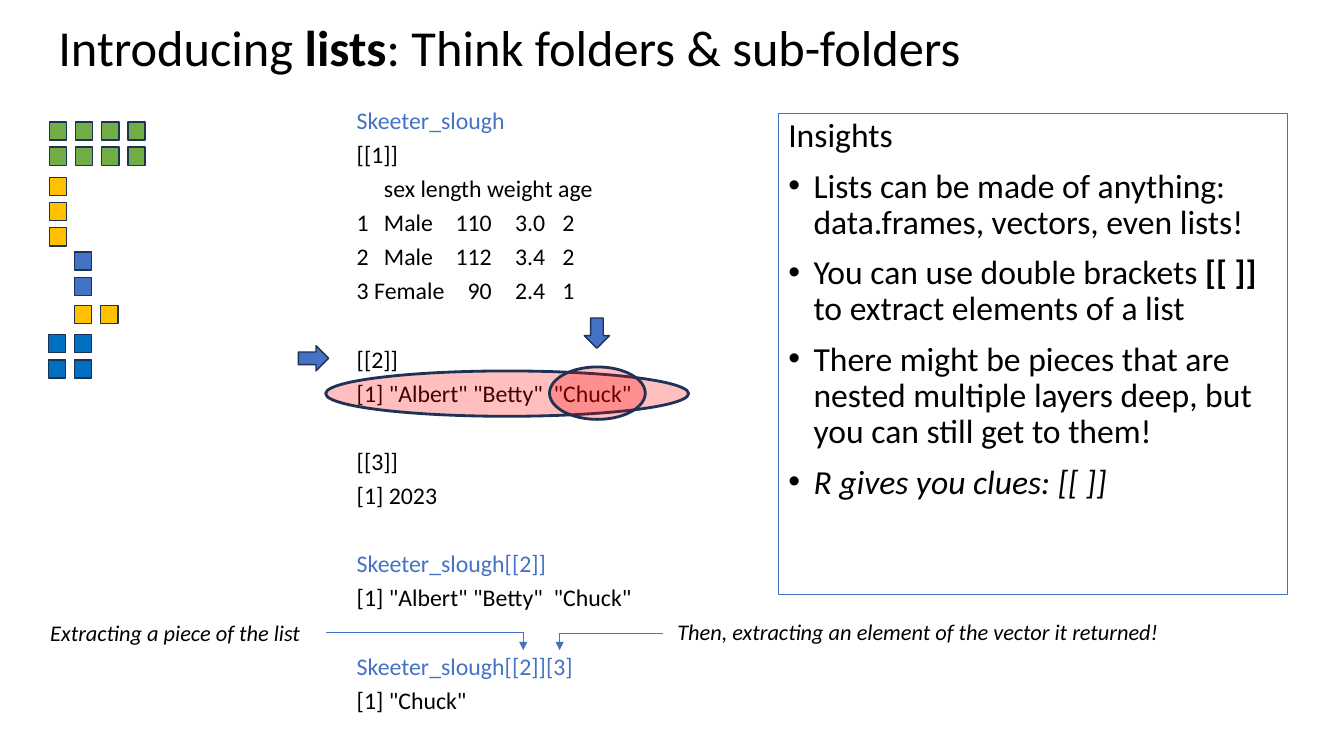
from lxml import etree
from pptx import Presentation
from pptx import util as u
from pptx.dml.color import RGBColor
from pptx.enum import shapes, text
from pptx.oxml.ns import qn

C = dict(black="000000", blue="4472C4", navy="1E3256", green="70AD47",
         gold="FFC000", azure="0070C0", red="FF0000")

# Content: a paragraph is a list of (text, format) runs
TITLE = [("Introducing ", {}), ("lists", {"bold": True}),
         (": Think folders & sub-folders", {})]
CODE = [  # blocks of console lines, (text, colour)
    [("Skeeter_slough", "blue"), ("[[1]]", "black"),
     ("\tsex length weight age", "black"),
     ("1\tMale\t110\t3.0\t2", "black"), ("2\tMale\t112\t3.4\t2", "black"),
     ("3 Female\t90\t2.4\t1", "black")],
    [("[[2]]", "black"), ('[1] "Albert" "Betty"  "Chuck"', "black")],
    [("[[3]]", "black"), ("[1] 2023", "black")],
    [("Skeeter_slough[[2]]", "blue"), ('[1] "Albert" "Betty"  "Chuck"', "black")],
    [("Skeeter_slough[[2]][3]", "blue"), ('[1] "Chuck"', "black")],
]
CODE_TABS = [(0.27, "l"), (1.34, "r"), (1.87, "r"), (2.16, "r")]
INSIGHTS = [
    [("Lists can be made of anything: data.frames, vectors, even lists!", {})],
    [("You can use double brackets ", {}), ("[[ ]]", {"bold": True}),
     (" to extract elements of a list", {})],
    [("There might be pieces that are nested multiple layers deep, "
      "but you can still get to them!", {})],
    [("R gives you clues: [[ ]]", {"italic": True})],
]
NOTES = [  # text, box
    ("Extracting a piece of the list", (0.4, 6.12, 2.76, 0.41)),
    ("Then, extracting an element of the vector it returned!", (6.62, 6.11, 5.27, 0.34)),
]
POINTERS = [(3.23, 5.19, 6.27), (6.58, 5.55, 6.28)]  # note side x, arrow x, y
POINTER_END = 6.45
SQUARES = [  # colour, left, top, columns, rows
    ("green", 0.49, 1.21, 4, 2), ("gold", 0.49, 1.76, 1, 3),
    ("blue", 0.74, 2.5, 1, 2), ("gold", 0.74, 3.03, 2, 1),
    ("azure", 0.48, 3.32, 2, 2),
]
SQUARE, PITCH = (0.17, 0.18), (0.26, 0.25)
HIGHLIGHTS = [(3.23, 3.68, 3.6, 0.45), (5.45, 3.64, 0.95, 0.52)]
ARROWS = [((2.96, 3.43, 0.3, 0.25), 0), ((5.77, 3.18, 0.3, 0.25), 90)]

prs = Presentation()
prs.slide_width, prs.slide_height = u.Inches(13.33), u.Inches(7.5)
s = prs.slides.add_slide(prs.slide_layouts[6])


def rgb(name):
    return RGBColor.from_string(C[name])


def inches(box):
    return [u.Inches(v) for v in box]


def add_shape(kind, box, fill=None, line="navy", width=1.0):
    sp = s.shapes.add_shape(kind, *inches(box))
    sp.shadow.inherit = False
    if fill:
        sp.fill.solid()
        sp.fill.fore_color.rgb = rgb(fill)
    else:
        sp.fill.background()
    sp.line.color.rgb = rgb(line)
    sp.line.width = u.Pt(width)
    return sp


def frame(sp, anchor=text.MSO_ANCHOR.TOP):
    tf = sp.text_frame
    tf.word_wrap = True
    tf.vertical_anchor = anchor
    return tf


def add_par(tf, runs, size, color="black", spacing=0.9, before=10):
    p = tf.paragraphs[0]
    if p.runs:
        p = tf.add_paragraph()
    p.alignment = text.PP_ALIGN.LEFT
    p.line_spacing = spacing
    p.space_before = u.Pt(before)
    for words, fmt in runs:
        r = p.add_run()
        r.text = words
        r.font.color.rgb = rgb(color)
        for key, value in {"name": "Calibri", "size": u.Pt(size), **fmt}.items():
            setattr(r.font, key, value)
    return p


def add_box(box, **kw):
    return frame(s.shapes.add_textbox(*inches(box)), **kw)


def add_line(start, end, arrow=False):
    ln = s.shapes.add_connector(shapes.MSO_CONNECTOR.STRAIGHT,
                                *inches(start), *inches(end))
    ln.line.color.rgb = rgb("blue")
    ln.line.width = u.Pt(0.5)
    if arrow:
        etree.SubElement(ln.line._get_or_add_ln(), qn("a:tailEnd"), type="triangle")
    etree.SubElement(ln._element.spPr, qn("a:effectLst"))


# Title
add_par(add_box((0.48, 0, 12.65, 1), anchor=text.MSO_ANCHOR.MIDDLE),
        TITLE, 36, before=0)

# Console listing, one empty line's height between blocks
tf = add_box((3.44, 1.08, 3.6, 6.19))
for b, block in enumerate(CODE):
    for i, (words, color) in enumerate(block):
        p = add_par(tf, [(words, {})], 17, color, 0.7,
                    34.5 if b and i == 0 else 10)
        if "\t" in words:
            tabs = etree.SubElement(p._p.get_or_add_pPr(), qn("a:tabLst"))
            for pos, side in CODE_TABS:
                etree.SubElement(tabs, qn("a:tab"), pos=str(u.Inches(pos)), algn=side)

# Insights panel
RECT = shapes.MSO_SHAPE.RECTANGLE
tf = frame(add_shape(RECT, (7.72, 1.13, 5.05, 4.77), line="blue", width=0.75))
add_par(tf, [("Insights", {})], 24)
for runs in INSIGHTS:
    pPr = add_par(tf, runs, 24)._p.get_or_add_pPr()
    pPr.set("marL", str(u.Inches(0.25)))
    pPr.set("indent", str(-u.Inches(0.25)))
    etree.SubElement(pPr, qn("a:buFont"), typeface="Arial")
    etree.SubElement(pPr, qn("a:buChar"), char="•")

# Folder squares
for color, left, top, cols, rows in SQUARES:
    for c in range(cols):
        for r in range(rows):
            add_shape(RECT, (left + c * PITCH[0], top + r * PITCH[1], *SQUARE), color)

# Translucent highlights
for box in HIGHLIGHTS:
    sp = add_shape(shapes.MSO_SHAPE.OVAL, box, "red", width=2)
    clr = sp._element.spPr.find(qn("a:solidFill")).find(qn("a:srgbClr"))
    etree.SubElement(clr, qn("a:alpha"), val="25000")

# Notes and their pointers
for words, box in NOTES:
    add_par(add_box(box), [(words, {"italic": True})], 16)
for side, x, y in POINTERS:
    add_line((x, y), (side, y))
    add_line((x, y), (x, POINTER_END), arrow=True)

# Block arrows
for box, turn in ARROWS:
    add_shape(shapes.MSO_SHAPE.RIGHT_ARROW, box, "blue").rotation = turn

prs.save("out.pptx")
